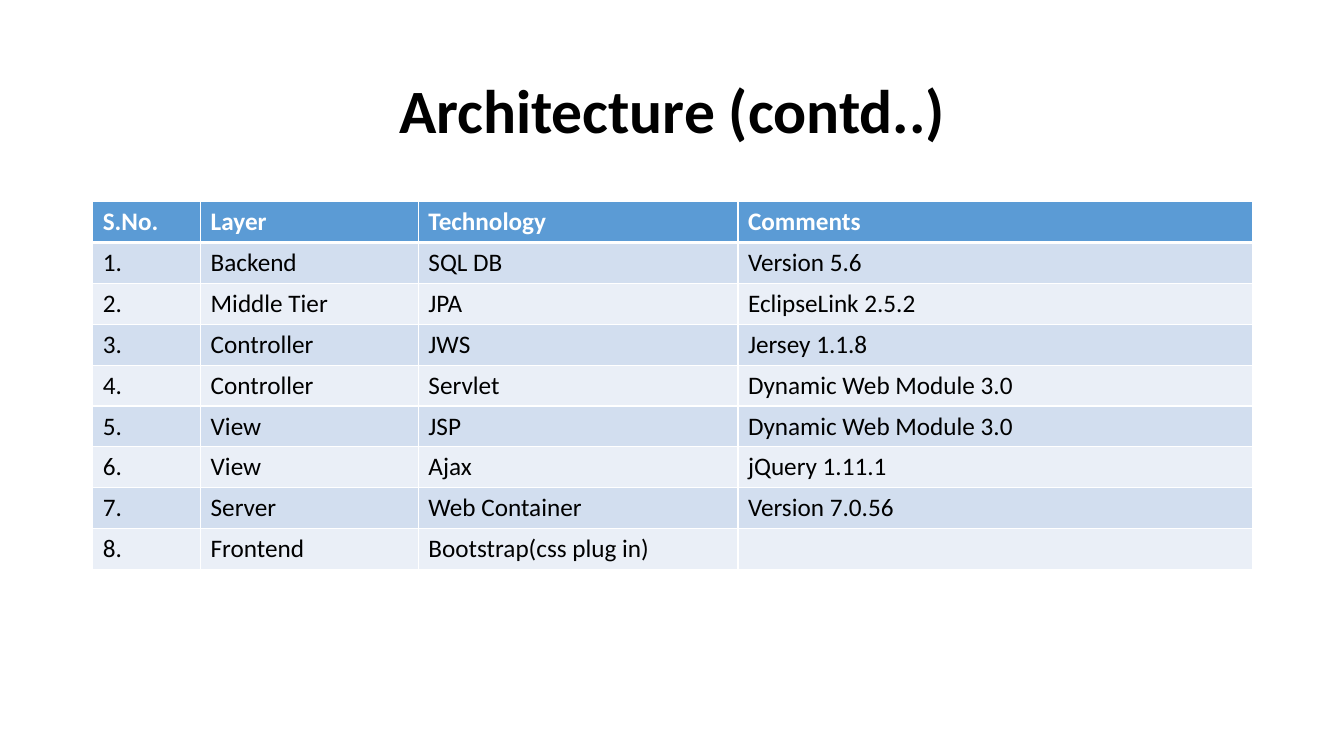
from typing import NamedTuple

from lxml import etree
from pptx import Presentation
from pptx.dml.color import RGBColor
from pptx.enum.text import MSO_ANCHOR, PP_ALIGN
from pptx.oxml.ns import qn
from pptx.table import _Cell
from pptx.text.text import _Paragraph
from pptx.util import Inches, Pt

CENTER = PP_ALIGN.CENTER
MIDDLE = MSO_ANCHOR.MIDDLE
FONT = "Calibri"
COLORS = {
    "text": "000000",
    "white": "FFFFFF",
    "header": "5B9BD5",
    "odd": "D2DEEF",
    "even": "EAEFF7",
}
LEFT, WIDTH = Inches(0.92), Inches(11.5)
COLUMN_WIDTHS = (1.07, 2.16, 3.17, 5.1)
THIN, THICK = 1, 3


class LayerRow(NamedTuple):
    number: str
    layer: str
    technology: str
    comments: str


HEADER = LayerRow("S.No.", "Layer", "Technology", "Comments")
LAYERS = [
    LayerRow("1.", "Backend", "SQL DB", "Version 5.6"),
    LayerRow("2.", "Middle Tier", "JPA", "EclipseLink 2.5.2"),
    LayerRow("3.", "Controller", "JWS", "Jersey 1.1.8"),
    LayerRow("4.", "Controller", "Servlet", "Dynamic Web Module 3.0"),
    LayerRow("5.", "View", "JSP", "Dynamic Web Module 3.0"),
    LayerRow("6.", "View", "Ajax", "jQuery 1.11.1"),
    LayerRow("7.", "Server", "Web Container", "Version 7.0.56"),
    LayerRow("8.", "Frontend", "Bootstrap(css plug in)", ""),
]


def format_runs(p: _Paragraph, size: int, color: str, bold: bool) -> None:
    for r in p.runs:
        r.font.name = FONT
        r.font.size = Pt(size)
        r.font.bold = bold
        r.font.color.rgb = RGBColor.from_string(COLORS[color])


def set_borders(cell: _Cell, top: int, bottom: int) -> None:
    tc_pr = cell._tc.get_or_add_tcPr()
    widths = {"a:lnL": THIN, "a:lnR": THIN, "a:lnT": top, "a:lnB": bottom}
    for tag, width in widths.items():
        ln = etree.SubElement(tc_pr, qn(tag), w=str(Pt(width)))
        fill = etree.SubElement(ln, qn("a:solidFill"))
        etree.SubElement(fill, qn("a:srgbClr"), val=COLORS["white"])


def fill_row(cells: list[_Cell], row: LayerRow, index: int) -> None:
    is_header = index == 0
    fill = "header" if is_header else "odd" if index % 2 else "even"
    for cell, text in zip(cells, row):
        cell.text = text
        format_runs(cell.text_frame.paragraphs[0], 18,
                    "white" if is_header else "text", is_header)
        set_borders(cell, THICK if index == 1 else THIN,
                    THICK if is_header else THIN)
        cell.fill.solid()
        cell.fill.fore_color.rgb = RGBColor.from_string(COLORS[fill])


prs = Presentation()
prs.slide_width, prs.slide_height = Inches(13.33), Inches(7.5)
s = prs.slides.add_slide(prs.slide_layouts[5])

title = s.shapes.title
title.left, title.top = LEFT, Inches(0.4)
title.width, title.height = WIDTH, Inches(1.45)
tf = title.text_frame
tf.text = "Architecture (contd..)"
tf.vertical_anchor = MIDDLE
p = tf.paragraphs[0]
p.alignment = CENTER
p.line_spacing = 0.9
format_runs(p, 44, "text", True)

rows = [HEADER, *LAYERS]
table = s.shapes.add_table(len(rows), len(COLUMN_WIDTHS), LEFT, Inches(2),
                           WIDTH, Inches(3.65)).table
for column, width in zip(table.columns, COLUMN_WIDTHS):
    column.width = Inches(width)
for index, row in enumerate(rows):
    fill_row(list(table.rows[index].cells), row, index)

prs.save("out.pptx")
